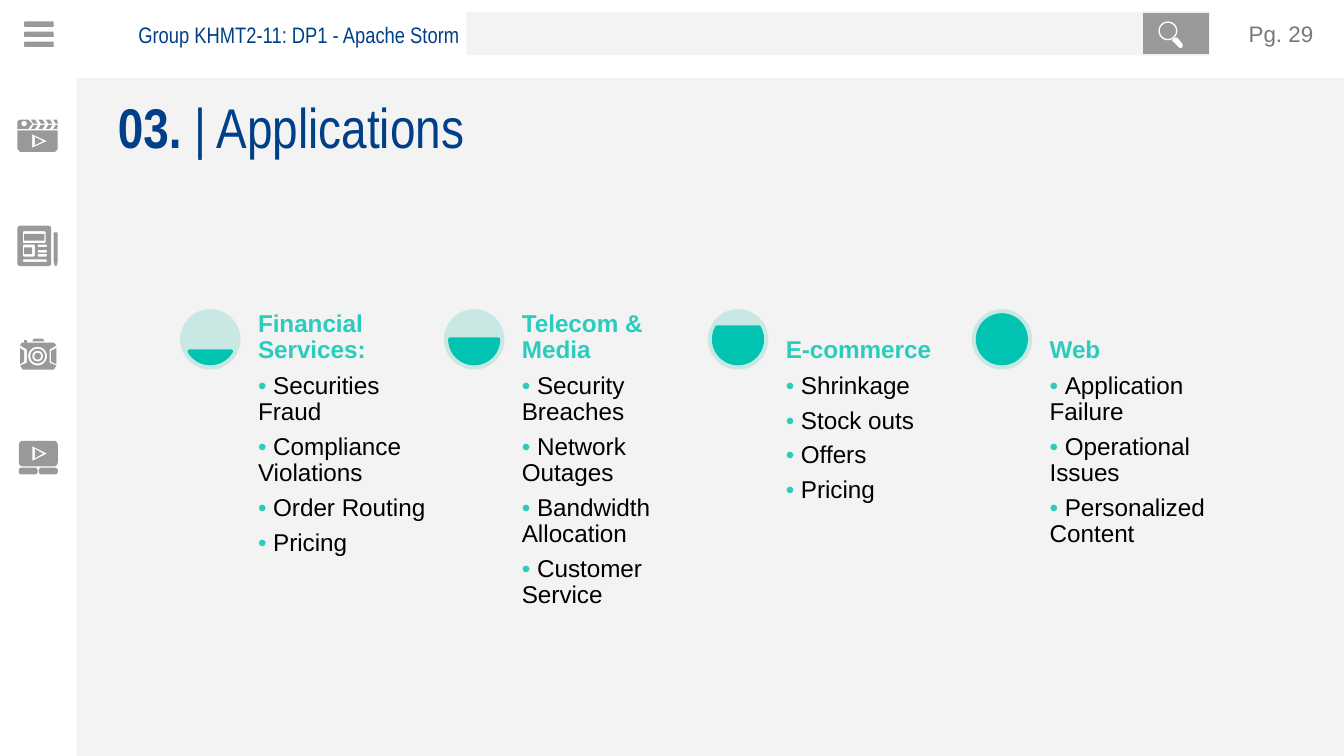
from math import cos, pi, sin

from pptx import Presentation
from pptx.dml.color import RGBColor
from pptx.enum.shapes import MSO_SHAPE
from pptx.enum.text import MSO_ANCHOR, PP_ALIGN
from pptx.util import Inches, Pt

WHITE = RGBColor(0xFF, 0xFF, 0xFF)
BLACK = RGBColor(0x00, 0x00, 0x00)
PAPER = RGBColor(0xF3, 0xF3, 0xF3)
GRAY = RGBColor(0x99, 0x99, 0x99)
PAGE_GRAY = RGBColor(0x78, 0x78, 0x78)
NAVY = RGBColor(0x00, 0x40, 0x88)
TITLE_NAVY = RGBColor(0x01, 0x3F, 0x88)
TEAL = RGBColor(0x00, 0xC3, 0xB1)
TEXT_TEAL = RGBColor(0x2B, 0xCC, 0xBD)
PALE_TEAL = RGBColor(0xCA, 0xE8, 0xE3)

# Heading, chord angles of the fill level, bullet items
COLUMNS = [
    ("Financial Services:", (18, 90),
     ["Securities Fraud", "Compliance Violations", "Order Routing", "Pricing"]),
    ("Telecom & Media", (0, 108),
     ["Security Breaches", "Network Outages", "Bandwidth Allocation", "Customer Service"]),
    ("E-commerce", (198, 126),
     ["Shrinkage", "Stock outs", "Offers", "Pricing"]),
    ("Web", (162, 162),
     ["Application Failure", "Operational Issues", "Personalized Content"]),
]


def run(text, color=BLACK, size=13, font="Arial", bold=False):
    """Describe one piece of text and its format."""
    return dict(text=text, color=color, size=size, font=font, bold=bold)


def circle(cx, cy, radius, n=40):
    return [(cx + radius * cos(2 * pi * i / n), cy + radius * sin(2 * pi * i / n))
            for i in range(n)]


def rounded(x, y, w, h, radius=0.0):
    """Outline of a rectangle with rounded corners."""
    corners = [(x + w - radius, y + h - radius), (x + radius, y + h - radius),
               (x + radius, y + radius), (x + w - radius, y + radius)]
    return [(cx + radius * cos((q + i / 6) * pi / 2), cy + radius * sin((q + i / 6) * pi / 2))
            for q, (cx, cy) in enumerate(corners) for i in range(7)]


class SlideBuilder:
    def __init__(self, slide):
        self.s = slide
        self.s.background.fill.solid()
        self.s.background.fill.fore_color.rgb = PAPER

    def paint(self, sp, fill, line=None, line_width=0.75):
        sp.shadow.inherit = False
        sp.fill.solid()
        sp.fill.fore_color.rgb = fill
        if line is None:
            sp.line.fill.background()
        else:
            sp.line.color.rgb = line
            sp.line.width = Pt(line_width)

    def shape(self, kind, x, y, w, h, fill, adjustments=(), **line):
        sp = self.s.shapes.add_shape(kind, Inches(x), Inches(y), Inches(w), Inches(h))
        for i, value in enumerate(adjustments):
            sp.adjustments[i] = value
        self.paint(sp, fill, **line)

    def icon(self, *contours, fill=GRAY):
        """Draw closed contours as one outline; inner contours become holes."""
        paths = [[(Inches(x), Inches(y)) for x, y in c] for c in contours]
        builder = self.s.shapes.build_freeform(*paths[0][0], scale=1.0)
        for i, (start, *rest) in enumerate(paths):
            if i:
                builder.move_to(*start)
            builder.add_line_segments(rest, close=True)
        self.paint(builder.convert_to_shape(), fill)

    def text(self, x, y, w, h, paragraphs, inset=(0.04, 0.04), anchor=MSO_ANCHOR.TOP,
             align=PP_ALIGN.LEFT, spacing=1.0, before=0):
        tf = self.s.shapes.add_textbox(Inches(x), Inches(y), Inches(w), Inches(h)).text_frame
        tf.word_wrap = True
        tf.vertical_anchor = anchor
        tf.margin_left = tf.margin_right = Inches(inset[0])
        tf.margin_top = tf.margin_bottom = Inches(inset[1])
        for i, runs in enumerate(paragraphs):
            p = tf.add_paragraph() if i else tf.paragraphs[0]
            p.alignment = align
            p.line_spacing = spacing
            p.space_before = Pt(before if i else 0)
            for item in runs:
                r = p.add_run()
                r.text = item["text"]
                r.font.name = item["font"]
                r.font.size = Pt(item["size"])
                r.font.bold = item["bold"]
                r.font.color.rgb = item["color"]


def draw_frame(b):
    # Header, sidebar and search bar
    b.shape(MSO_SHAPE.RECTANGLE, 0, -0.03, 10, 0.61, WHITE)
    b.shape(MSO_SHAPE.RECTANGLE, 0, -0.05, 0.57, 5.69, WHITE)
    b.shape(MSO_SHAPE.RECTANGLE, 3.47, 0.09, 5.53, 0.32, PAPER)
    b.shape(MSO_SHAPE.RECTANGLE, 8.5, 0.09, 0.5, 0.32, GRAY, line=PAPER)

    # Menu bars
    for i in range(3):
        b.shape(MSO_SHAPE.ROUNDED_RECTANGLE, 0.18, 0.16 + 0.075 * i, 0.22, 0.04, GRAY, [0.17])

    # Magnifier
    b.icon(circle(8.69, 0.23, 0.07), circle(8.69, 0.23, 0.06), fill=WHITE)
    b.icon([(8.72, 0.3), (8.74, 0.28), (8.76, 0.28), (8.8, 0.33), (8.8, 0.35), (8.78, 0.36),
            (8.74, 0.32)], fill=WHITE)


def draw_sidebar_icons(b):
    # Clapperboard
    b.icon([(0.13, 0.97), (0.43, 0.97), (0.43, 1.11), (0.41, 1.13), (0.15, 1.13), (0.13, 1.11)],
           [(0.24, 1), (0.35, 1.05), (0.24, 1.1)])
    b.icon([(0.26, 1.02), (0.32, 1.05), (0.26, 1.08)])
    b.icon([(0.13, 0.9), (0.15, 0.89), (0.21, 0.89), (0.24, 0.92), (0.21, 0.96), (0.13, 0.96)],
           circle(0.18, 0.92, 0.02))
    for outer, inner in ((0.89, 0.92), (0.96, 0.93)):
        for i in range(4):
            x = 0.23 + 0.055 * i
            b.icon([(x, outer), (x + 0.02, inner), (min(x + 0.05, 0.43), inner),
                    (min(x + 0.03, 0.43), outer)])

    # Newspaper and pencil
    small_lines = [rounded(0.28, y, 0.07, 0.02, 0.01) for y in (1.82, 1.86, 1.89)]
    b.icon(rounded(0.13, 1.68, 0.25, 0.3, 0.02), rounded(0.17, 1.72, 0.17, 0.09, 0.01),
           rounded(0.17, 1.82, 0.09, 0.09, 0.01), rounded(0.17, 1.93, 0.18, 0.02, 0.01),
           *small_lines)
    b.icon(rounded(0.18, 1.74, 0.15, 0.05))
    b.icon(rounded(0.18, 1.84, 0.06, 0.05))
    b.icon([(0.4, 1.73), (0.43, 1.73), (0.43, 1.95), (0.42, 1.98), (0.41, 1.98), (0.4, 1.95)])

    # Camera
    b.icon([(0.18, 2.55), (0.18, 2.53), (0.2, 2.53), (0.2, 2.55), (0.4, 2.55), (0.42, 2.57),
            (0.37, 2.6), (0.37, 2.7), (0.42, 2.72), (0.4, 2.75), (0.17, 2.75), (0.15, 2.72),
            (0.2, 2.7), (0.2, 2.6), (0.15, 2.57), (0.16, 2.55)], circle(0.28, 2.65, 0.07))
    b.icon(circle(0.28, 2.65, 0.055), circle(0.28, 2.65, 0.04))
    b.icon(circle(0.28, 2.65, 0.025))
    b.icon([(0.24, 2.54), (0.25, 2.52), (0.32, 2.52), (0.33, 2.54)])
    for edge, inner in ((0.15, 0.18), (0.42, 0.38)):
        b.icon([(edge, 2.59), (inner, 2.61), (inner, 2.69), (edge, 2.71)])

    # Video player
    b.icon(rounded(0.14, 3.28, 0.29, 0.19, 0.03), [(0.24, 3.32), (0.35, 3.375), (0.24, 3.43)])
    b.icon([(0.26, 3.34), (0.32, 3.375), (0.26, 3.41)])
    b.icon(rounded(0.14, 3.48, 0.14, 0.05, 0.02))
    b.icon(rounded(0.29, 3.48, 0.14, 0.05, 0.02))


def draw_text(b):
    # Header label, title and page number
    b.text(1.03, 0.16, 2.96, 0.2,
           [[run("Group KHMT2-11: DP1 - Apache Storm", NAVY, 12, "Arial Narrow")]], inset=(0, 0))
    b.text(0.78, 0.59, 8.44, 0.71,
           [[run("03. ", TITLE_NAVY, 30, "Arial Narrow", True),
             run("| Applications", TITLE_NAVY, 30, "Arial Narrow")]], inset=(0.1, 0.1))
    b.text(7.62, 0.1, 2.25, 0.3, [[run("Pg. 29", PAGE_GRAY, 12)]], inset=(0.1, 0.05),
           anchor=MSO_ANCHOR.MIDDLE, align=PP_ALIGN.RIGHT)


def draw_columns(b):
    left, last, top, disc, level = 1.34, 7.23, 2.3, 0.45, 0.36
    pitch = (last - left) / (len(COLUMNS) - 1)
    gap = (disc - level) / 2
    for i, (heading, angles, items) in enumerate(COLUMNS):
        x = left + pitch * i
        b.shape(MSO_SHAPE.OVAL, x, top, disc, disc, PALE_TEAL)
        b.shape(MSO_SHAPE.CHORD, x + gap, top + gap, level, level, TEAL, angles,
                line=TEAL, line_width=2)
        b.text(x + 0.54, top + 0.44, 1.33, 1.89,
               [[run("• ", TEXT_TEAL), run(item)] for item in items], spacing=0.9, before=4.5)
        b.text(x + 0.54, top, 1.33, disc, [[run(heading, TEXT_TEAL, bold=True)]],
               anchor=MSO_ANCHOR.BOTTOM, spacing=0.9)


def main():
    prs = Presentation()
    prs.slide_width = Inches(10)
    prs.slide_height = prs.slide_width * 9 // 16
    b = SlideBuilder(prs.slides.add_slide(prs.slide_layouts[6]))
    draw_frame(b)
    draw_sidebar_icons(b)
    draw_text(b)
    draw_columns(b)
    prs.save("out.pptx")


if __name__ == "__main__":
    main()
